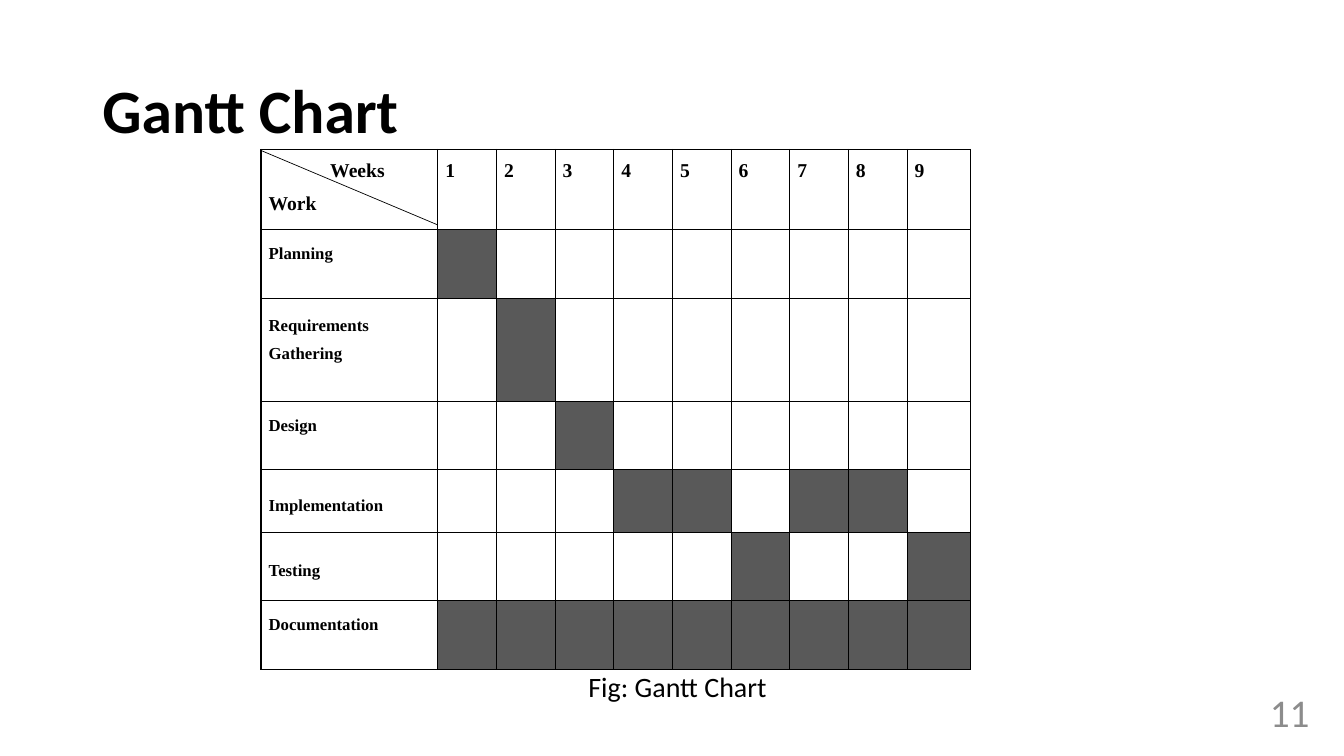
from lxml.etree import SubElement
from pptx import Presentation
from pptx.dml.color import RGBColor
from pptx.enum.shapes import MSO_CONNECTOR
from pptx.enum.text import MSO_ANCHOR, PP_ALIGN
from pptx.oxml.ns import qn
from pptx.util import Pt

COLORS = {"ink": "000000", "busy": "595959", "page": "8C8C8C"}
WEEKS = 9
TASKS = [
    ("Planning", 49, 21, {1}),
    ("Requirements Gathering", 73.5, 21, {2}),
    ("Design", 49, 21, {3}),
    ("Implementation", 44.6, 0, {4, 5, 7, 8}),
    ("Testing", 49, 0, {6, 9}),
    ("Documentation", 49, 21, set(range(1, WEEKS + 1))),
]


def write(paragraph, text, size, color="ink", bold=False, font="Calibri"):
    run = paragraph.add_run()
    run.text = text
    run.font.size = Pt(size)
    run.font.bold = bold
    run.font.name = font
    run.font.color.rgb = RGBColor.from_string(COLORS[color])


def write_label(paragraph, text, size):
    paragraph.line_spacing = 1.5
    write(paragraph, text, size, bold=True, font="Times New Roman")


prs = Presentation()
prs.slide_width, prs.slide_height = Pt(960), Pt(540)
slide = prs.slides.add_slide(prs.slide_layouts[5])

title = slide.shapes.title
title.left, title.top, title.width, title.height = Pt(66), Pt(29), Pt(828), Pt(104)
title.text_frame.vertical_anchor = MSO_ANCHOR.MIDDLE
heading = title.text_frame.paragraphs[0]
heading.alignment = PP_ALIGN.LEFT
heading.line_spacing = 0.9
write(heading, "Gantt Chart", 44, bold=True)

captions = [
    ("Fig: Gantt Chart", 330, 474.5, 308, 32, 20, "ink", PP_ALIGN.CENTER, MSO_ANCHOR.TOP),
    ("11", 726.5, 494, 216, 29, 28, "page", PP_ALIGN.RIGHT, MSO_ANCHOR.MIDDLE),
]
for text, left, top, width, height, size, color, align, anchor in captions:
    caption = slide.shapes.add_textbox(Pt(left), Pt(top), Pt(width), Pt(height))
    caption.text_frame.word_wrap = True
    caption.text_frame.vertical_anchor = anchor
    caption.text_frame.paragraphs[0].alignment = align
    write(caption.text_frame.paragraphs[0], text, size, color)

schedule = slide.shapes.add_table(
    len(TASKS) + 1, WEEKS + 1, Pt(186.5), Pt(106.8), Pt(507), Pt(372)
).table
schedule.first_row = False
schedule.horz_banding = False
for column, width in zip(schedule.columns, [126.3] + [41.9] * (WEEKS - 1) + [45.5]):
    column.width = Pt(width)
for row, height in zip(schedule.rows, [57.3] + [task[1] for task in TASKS]):
    row.height = Pt(height)

for cell in schedule.iter_cells():
    cell.margin_left = cell.margin_right = Pt(5.4)
    cell.margin_top = cell.margin_bottom = 0
    properties = cell._tc.get_or_add_tcPr()
    for side in ("a:lnL", "a:lnR", "a:lnT", "a:lnB"):
        border = SubElement(properties, qn(side), w=str(Pt(1)))
        ink = SubElement(border, qn("a:solidFill"))
        SubElement(ink, qn("a:srgbClr"), val=COLORS["ink"])
    cell.fill.background()

corner = schedule.cell(0, 0).text_frame
weeks_label = corner.paragraphs[0]
weeks_label._p.get_or_add_pPr().set("marL", "0")
weeks_label._p.get_or_add_pPr().set("indent", str(Pt(44)))
write_label(weeks_label, "Weeks", 14)
write_label(corner.add_paragraph(), "Work", 14)
for week in range(1, WEEKS + 1):
    write_label(schedule.cell(0, week).text_frame.paragraphs[0], str(week), 14)

for row, (task, height, space_below, busy_weeks) in enumerate(TASKS, 1):
    name = schedule.cell(row, 0)
    name.vertical_anchor = MSO_ANCHOR.MIDDLE
    name.margin_bottom = Pt(space_below)
    write_label(name.text_frame.paragraphs[0], task, 12)
    for week in busy_weeks:
        busy = schedule.cell(row, week).fill
        busy.solid()
        busy.fore_color.rgb = RGBColor.from_string(COLORS["busy"])

diagonal = slide.shapes.add_connector(
    MSO_CONNECTOR.STRAIGHT, Pt(186), Pt(107.3), Pt(312.5), Pt(160.6)
)
diagonal.line.color.rgb = RGBColor.from_string(COLORS["ink"])
diagonal.line.width = Pt(0.5)
SubElement(diagonal._element.spPr, qn("a:effectLst"))

prs.save("out.pptx")
